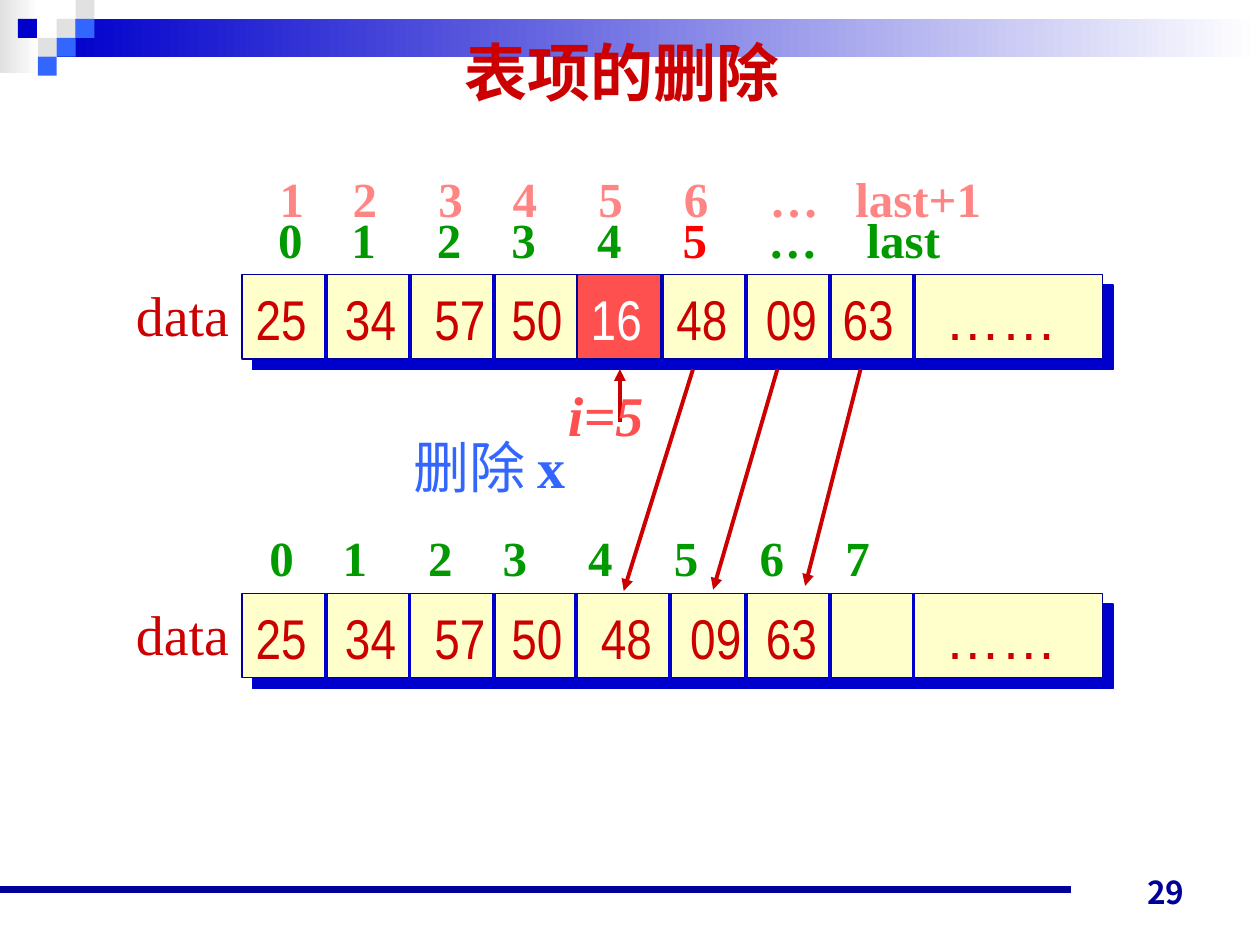
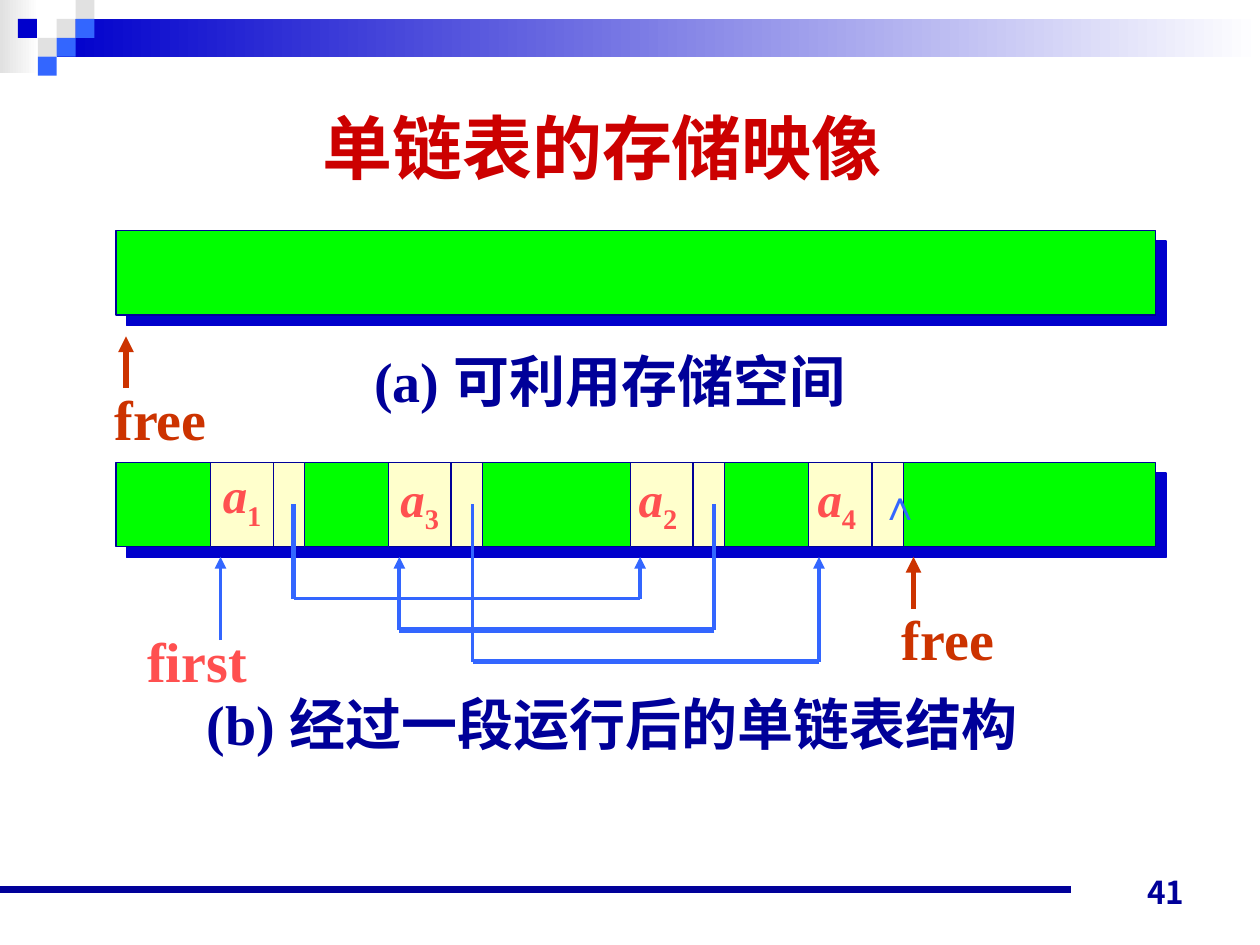
from dataclasses import dataclass
from typing import Sequence

from lxml.etree import SubElement
from pptx import Presentation
from pptx.dml.color import RGBColor
from pptx.enum.shapes import MSO_CONNECTOR as Connector, MSO_SHAPE as Shape
from pptx.enum.text import MSO_ANCHOR as Anchor, MSO_AUTO_SIZE as AutoSize, PP_ALIGN as Align
from pptx.oxml.ns import qn
from pptx.shapes.autoshape import Shape as AutoShape
from pptx.slide import Slide
from pptx.util import Inches, Pt

NAVY, BLUE, SKY = "000099", "0000CC", "3366FF"
GRAY, WHITE, CREAM = "E1E1E1", "FFFFFF", "FFFFCC"
RED, CORAL, PINK, RUST = "CC0000", "FF5050", "FF8585", "CC3300"
GREEN, LIME = "009900", "00FF00"
SERIF, NARROW, SANS = "Times New Roman", "Arial Narrow", "Arial"
CHINESE, JAPANESE = "Noto Sans CJK SC", "Noto Sans CJK JP"

TILE = 0.15
CELL_HEIGHT = 0.67
CELL_WIDTH = 2 / 3
ARRAY_LEFT, ARRAY_WIDTH = 1.92, 6.83
INDEX_STOPS = (0.58, 1.26, 1.85, 2.53, 3.21, 3.89, 4.57)


@dataclass(frozen=True)
class Span:
    text: str
    color: str
    size: float = 32
    font: str = SERIF
    bold: bool = True
    italic: bool = False
    baseline: int = 0


@dataclass(frozen=True)
class Tile:
    column: float
    row: int
    color: str


@dataclass(frozen=True)
class ArrayRow:
    top: float
    values: str
    stops: Sequence[float]
    dividers: Sequence[float]


@dataclass(frozen=True)
class Node:
    left: float
    label_left: float
    label_top: float
    subscript: str


@dataclass(frozen=True)
class Link:
    start: float
    end: float
    depth: float
    drop_width: float
    run_width: float


TILES = (
    Tile(3, 1, GRAY), Tile(4, 0, GRAY), Tile(4, 1, SKY), Tile(2, 2, GRAY),
    Tile(0.95, 1, BLUE), Tile(3, 2, SKY), Tile(2, 3, SKY),
)
BEFORE = ArrayRow(2.18, "25\t34\t57\t50\t48\t09\t63\t",
                  (0.71, 1.42, 2.03, 3.34, 4.05, 4.66, 5.47),
                  [ARRAY_LEFT + CELL_WIDTH * step for step in range(1, 9)])
AFTER = ArrayRow(4.71, "25\t34\t57\t50\t48\t09\t63\t",
                 (0.71, 1.42, 2.03, 2.74, 3.45, 4.05, 5.47),
                 (2.59, 3.25, 3.92, 4.57, 5.32, 5.92, 6.59, 7.25))
NODES = (
    Node(1.67, 1.67, 3.64, "1"), Node(3.08, 3.08, 3.67, "3"),
    Node(5, 4.97, 3.67, "2"), Node(6.42, 6.39, 3.67, "4"),
)
LINKS = (
    Link(2.33, 5.08, 4.75, 3, 2.25),
    Link(5.67, 3.17, 5, 2.25, 3),
    Link(3.75, 6.5, 5.25, 2.25, 3),
)


def rgb(color: str) -> RGBColor:
    return RGBColor.from_string(color)


def add_rect(page: Slide, left: float, top: float, width: float, height: float,
             fill: str, line_width: float = 0, fade: bool = False) -> AutoShape:
    rect = page.shapes.add_shape(Shape.RECTANGLE, Inches(left), Inches(top),
                                 Inches(width), Inches(height))
    rect.shadow.inherit = False
    if fade:
        rect.fill.gradient()
        rect.fill.gradient_angle = 0
        for stop, color, position in zip(rect.fill.gradient_stops, (fill, WHITE), (0, 1)):
            stop.color.rgb = rgb(color)
            stop.position = position
    else:
        rect.fill.solid()
        rect.fill.fore_color.rgb = rgb(fill)
    if line_width:
        rect.line.color.rgb = rgb(NAVY)
        rect.line.width = Pt(line_width)
    else:
        rect.line.fill.background()
    return rect


def add_block(page: Slide, left: float, top: float, width: float, fill: str) -> None:
    block = add_rect(page, left, top, width, CELL_HEIGHT, fill, 0.75)
    effects = block.element.spPr.find(qn("a:effectLst"))
    shadow = SubElement(effects, qn("a:outerShdw"), dist=str(Pt(8.5)),
                        dir=str(45 * 60000), algn="ctr", rotWithShape="0")
    SubElement(shadow, qn("a:srgbClr"), val=BLUE)


def add_line(page: Slide, x1: float, y1: float, x2: float, y2: float,
             color: str, width: float = 2.25, arrow: bool = False) -> None:
    line = page.shapes.add_connector(Connector.STRAIGHT, Inches(x1), Inches(y1),
                                     Inches(x2), Inches(y2))
    line.line.color.rgb = rgb(color)
    line.line.width = Pt(width)
    if arrow:
        outline = line.element.spPr.find(qn("a:ln"))
        SubElement(outline, qn("a:tailEnd"), type="triangle")
    SubElement(line.element.spPr, qn("a:effectLst"))


def add_text(page: Slide, left: float, top: float, width: float, height: float,
             *spans: Span, wrap: bool = False, align: Align = Align.LEFT,
             stops: Sequence[float] = ()) -> AutoShape:
    box = page.shapes.add_textbox(Inches(left), Inches(top), Inches(width), Inches(height))
    frame = box.text_frame
    frame.word_wrap = wrap
    frame.auto_size = AutoSize.SHAPE_TO_FIT_TEXT
    para = frame.paragraphs[0]
    para.alignment = align
    if stops:
        tabs = SubElement(para._p.get_or_add_pPr(), qn("a:tabLst"))
        for stop in stops:
            SubElement(tabs, qn("a:tab"), pos=str(Inches(stop)), algn="l")
    for span in spans:
        run = para.add_run()
        run.text = span.text
        font = run.font
        font.size = Pt(span.size)
        font.name = span.font
        font.bold = span.bold
        font.italic = span.italic
        font.color.rgb = rgb(span.color)
        properties = font._element
        if span.baseline:
            properties.set("baseline", str(span.baseline * 1000))
        east_asian = JAPANESE if span.font == JAPANESE else CHINESE
        SubElement(properties, qn("a:ea"), typeface=east_asian)
    return box


def add_page(deck: Presentation, number: int) -> Slide:
    page = deck.slides.add_slide(deck.slide_layouts[6])
    add_rect(page, 0, 0, 0.31, 0.58, GRAY, fade=True)
    add_rect(page, 0.45, TILE, 9.55, 0.3, BLUE, fade=True)
    for tile in TILES:
        add_rect(page, tile.column * TILE, tile.row * TILE, TILE, TILE, tile.color)
    add_line(page, 0, 7.06, 8.5, 7.06, NAVY, 4.5)
    box = add_text(page, 7.17, 6.78, 2.33, 0.5, Span(str(number), NAVY, 18, JAPANESE),
                   wrap=True, align=Align.RIGHT)
    box.text_frame.auto_size = AutoSize.NONE
    box.text_frame.vertical_anchor = Anchor.BOTTOM
    return page


def add_array(page: Slide, row: ArrayRow) -> None:
    add_block(page, ARRAY_LEFT, row.top, ARRAY_WIDTH, CREAM)
    add_text(page, 1.93, row.top + 0.03, 6.74, 0.64,
             Span(row.values, RED, font=NARROW, bold=False),
             Span("……", RED, font=SANS, bold=False), wrap=True, stops=row.stops)
    for x in row.dividers:
        add_line(page, x, row.top, x, row.top + CELL_HEIGHT, BLUE)
    add_text(page, 0.98, row.top, 0.94, 0.64, Span("data", RED, bold=False))


def add_indexes(page: Slide, left: float, top: float, *spans: Span,
                stops: Sequence[float] = INDEX_STOPS) -> None:
    add_text(page, left, top, 6.05, 0.57, *spans, wrap=True, stops=stops)


def build_deletion(deck: Presentation) -> None:
    page = add_page(deck, 29)
    add_text(page, 3.3, 0.22, 3.28, 0.7, Span("表项的删除", RED, 36),
             wrap=True, align=Align.CENTER)
    add_array(page, BEFORE)
    add_indexes(page, 2.11, 1.61, Span("0\t1\t2\t3\t4\t", GREEN, 28),
                Span("5", "FF0000", 28), Span("\t…\tlast", GREEN, 28),
                stops=(*INDEX_STOPS[:-1], 4.67))
    add_rect(page, 4.58, BEFORE.top, CELL_WIDTH, CELL_HEIGHT, CORAL, 0.75)
    add_text(page, 4.59, 2.21, 0.8, 0.64, Span("16", WHITE, font=NARROW, bold=False),
             wrap=True)
    add_line(page, 4.92, 3.35, 4.92, 2.93, RED, arrow=True)
    add_text(page, 3.18, 3.38, 1.52, 0.64, Span("删除 ", SKY, bold=False), Span("x", SKY))
    add_array(page, AFTER)
    add_indexes(page, 2.04, 4.14, Span("0\t1\t2\t3\t4\t5\t6\t7", GREEN, 28))
    for x1, x2, y2 in ((5.5, 4.95, 4.69), (6.17, 5.66, 4.68), (6.83, 6.39, 4.65)):
        add_line(page, x1, 2.93, x2, y2, RED, arrow=True)
    add_text(page, 4.41, 2.97, 0.8, 0.64, Span("i=5", CORAL, italic=True))
    add_indexes(page, 2.12, 1.29, Span("1\t2\t3\t4\t5\t6\t…\tlast+1", PINK, 28))


def add_node(page: Slide, node: Node) -> None:
    top = 3.67
    add_rect(page, node.left, top, 0.75, CELL_HEIGHT, CREAM, 0.5)
    add_line(page, node.left + 0.5, top, node.left + 0.5, top + CELL_HEIGHT, NAVY, 0.75)
    add_text(page, node.label_left, node.label_top, 0.53, 0.63,
             Span("a", CORAL, 28, italic=True),
             Span(node.subscript, CORAL, 28, baseline=-25), wrap=True)


def add_link(page: Slide, link: Link) -> None:
    add_line(page, link.start, 4, link.start, link.depth, SKY, link.drop_width)
    add_line(page, link.start, link.depth, link.end, link.depth, SKY, link.run_width)
    add_line(page, link.end, link.depth, link.end, 4.42, SKY, arrow=True)


def add_free_pointer(page: Slide, x: float, tip: float) -> None:
    add_line(page, x, tip + 0.41, x, tip, RUST, 3, arrow=True)
    add_text(page, x - 0.19, tip + 0.33, 0.94, 0.64, Span("free", RUST))


def build_storage(deck: Presentation) -> None:
    page = add_page(deck, 41)
    add_text(page, 2.46, 0.78, 4.65, 0.77, Span("单链表的存储映像", RED, 40))
    for top in (1.83, 3.67):
        add_block(page, 0.92, top, 8.25, LIME)
    add_free_pointer(page, 1, 2.67)
    add_text(page, 2.87, 2.7, 4.32, 0.64, Span("(a) 可利用存储空间", NAVY), wrap=True)
    for node in NODES:
        add_node(page, node)
    add_text(page, 6.88, 3.75, 0.31, 0.5, Span("∧", SKY, 24, SANS))
    add_line(page, 1.75, 5.08, 1.75, 4.42, SKY, arrow=True)
    add_free_pointer(page, 7.25, 4.42)
    add_text(page, 1.07, 4.92, 0.99, 0.64, Span("first", CORAL))
    for link in LINKS:
        add_link(page, link)
    add_text(page, 1.54, 5.42, 7.12, 0.64, Span("(b) ", NAVY),
             Span("经过一段运行后的单链表结构", NAVY, font=CHINESE), wrap=True)


def main() -> None:
    deck = Presentation()
    deck.slide_width, deck.slide_height = Inches(10), Inches(7.5)
    build_deletion(deck)
    build_storage(deck)
    deck.save("out.pptx")


if __name__ == "__main__":
    main()
